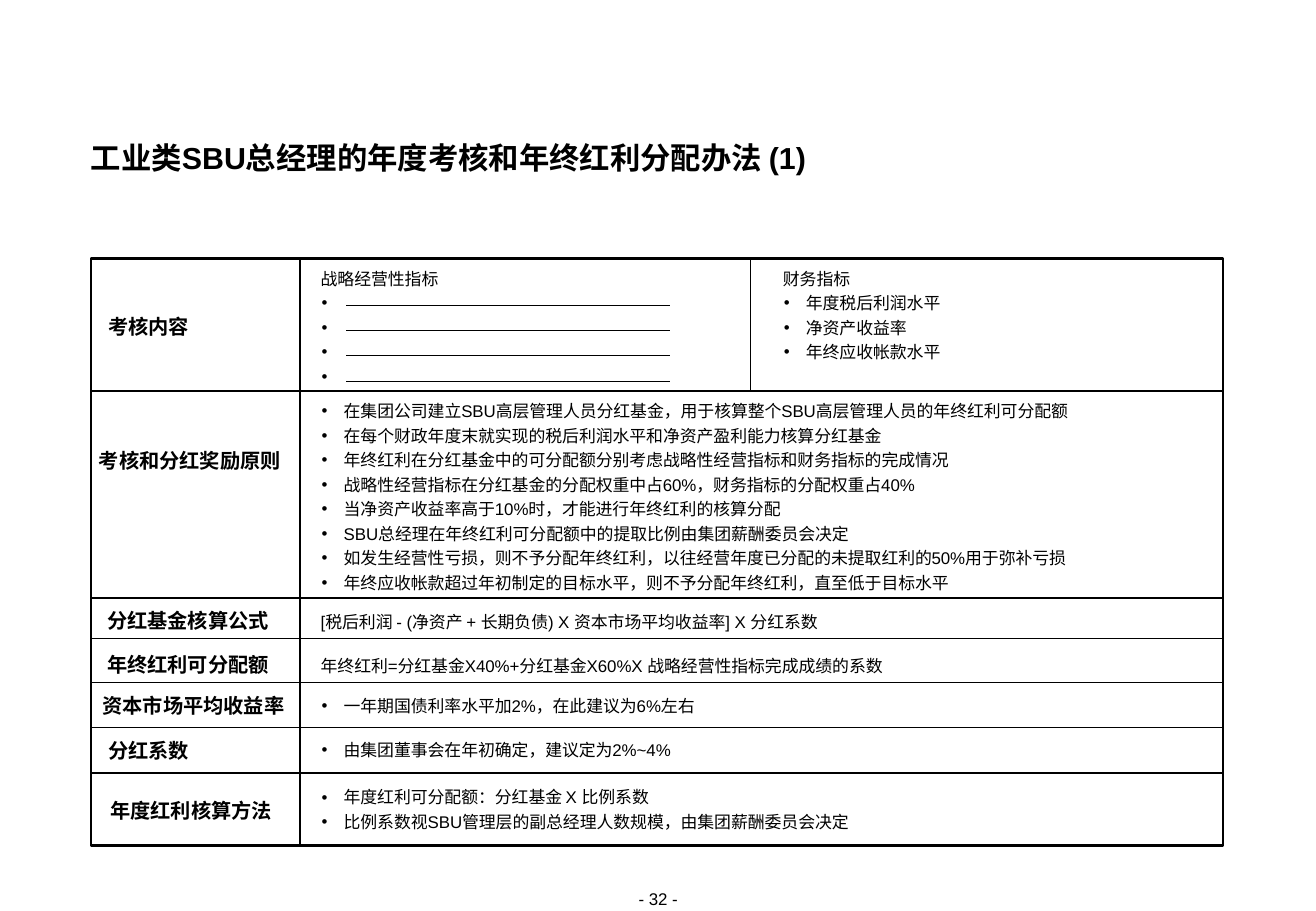
from lxml import etree
from pptx import Presentation
from pptx.dml.color import RGBColor
from pptx.enum.shapes import MSO_CONNECTOR, MSO_SHAPE
from pptx.enum.text import MSO_ANCHOR, MSO_AUTO_SIZE, PP_ALIGN
from pptx.oxml.ns import qn
from pptx.util import Cm, Pt

BLACK = RGBColor(0, 0, 0)
FONT = "Arial"
STRAIGHT = MSO_CONNECTOR.STRAIGHT
RECTANGLE = MSO_SHAPE.RECTANGLE
LEFT, CENTER = PP_ALIGN.LEFT, PP_ALIGN.CENTER
TOP = MSO_ANCHOR.TOP
NO_AUTOFIT = MSO_AUTO_SIZE.NONE

# Grid of the scheme, in cm
GRID_LEFT, GRID_RIGHT = 1.9, 25.59
GRID_TOP, GRID_BOTTOM = 5.41, 17.68
LABEL_DIVIDER, METRIC_DIVIDER = 6.27, 15.7
ROW_LINES = [8.18, 12.5, 13.35, 14.27, 15.21, 16.17]
LABEL_LEFT, TEXT_LEFT, FINANCE_LEFT = 1.98, 6.71, 16.38

# Label, top, width
LABELS = [
    ("考核内容", 6.58, 2.26),
    ("考核和分红奖励原则", 9.37, 3.99),
    ("分红基金核算公式", 12.73, 3.91),
    ("年终红利可分配额", 13.64, 3.91),
    ("资本市场平均收益率", 14.5, 4.14),
    ("分红系数", 15.44, 2.26),
    ("年度红利核算方法", 16.69, 4.04),
]
FINANCE_METRICS = ["年度税后利润水平", "净资产收益率", "年终应收帐款水平"]
BLANK_COUNT = 4
PRINCIPLES = [
    "在集团公司建立SBU高层管理人员分红基金，用于核算整个SBU高层管理人员的年终红利可分配额",
    "在每个财政年度末就实现的税后利润水平和净资产盈利能力核算分红基金",
    "年终红利在分红基金中的可分配额分别考虑战略性经营指标和财务指标的完成情况",
    "战略性经营指标在分红基金的分配权重中占60%，财务指标的分配权重占40%",
    "当净资产收益率高于10%时，才能进行年终红利的核算分配",
    "SBU总经理在年终红利可分配额中的提取比例由集团薪酬委员会决定",
    "如发生经营性亏损，则不予分配年终红利，以往经营年度已分配的未提取红利的50%用于弥补亏损",
    "年终应收帐款超过年初制定的目标水平，则不予分配年终红利，直至低于目标水平",
]
FORMULAS = [
    ("[税后利润 - (净资产 + 长期负债) X 资本市场平均收益率] X 分红系数", 12.67),
    ("年终红利=分红基金X40%+分红基金X60%X 战略经营性指标完成成绩的系数", 13.59),
]
# Items, top
DETAILS = [
    (["一年期国债利率水平加2%，在此建议为6%左右"], 14.55),
    (["由集团董事会在年初确定，建议定为2%~4%"], 15.47),
    (["年度红利可分配额：分红基金 X 比例系数",
      "比例系数视SBU管理层的副总经理人数规模，由集团薪酬委员会决定"], 16.46),
]


class SlideBuilder:
    def __init__(self, slide):
        self.slide = slide
        self.shapes = slide.shapes

    def frame(self, sp, x, y, w, h):
        """Place a text shape and return its margin-free frame."""
        sp.left, sp.top, sp.width, sp.height = Cm(x), Cm(y), Cm(w), Cm(h)
        tf = sp.text_frame
        tf.margin_left = tf.margin_right = tf.margin_top = tf.margin_bottom = 0
        tf.word_wrap = True
        tf.auto_size = NO_AUTOFIT
        tf.vertical_anchor = TOP
        return tf

    def box(self, x, y, w, h):
        return self.frame(self.shapes.add_textbox(0, 0, 0, 0), x, y, w, h)

    def add_text(self, p, text, size=10, bold=False, align=LEFT, spacing=None):
        p.alignment = align
        p.space_before = Pt(0)
        if spacing:
            p.line_spacing = spacing
        r = p.add_run()
        r.text = text
        r.font.name, r.font.size, r.font.bold = FONT, Pt(size), bold
        r.font.color.rgb = BLACK

    def title(self, text):
        tf = self.frame(self.shapes.title, GRID_LEFT, 2.97, 23.7, 0.71)
        self.add_text(tf.paragraphs[0], text, 18, True, spacing=Pt(20))

    def text(self, text, x, y, w, h, **style):
        self.add_text(self.box(x, y, w, h).paragraphs[0], text, **style)

    def bullet(self, p):
        pPr = p._p.get_or_add_pPr()
        pPr.set("marL", str(Cm(0.48)))
        pPr.set("indent", str(Cm(-0.46)))
        color = etree.SubElement(pPr, qn("a:buClr"))
        etree.SubElement(color, qn("a:srgbClr")).set("val", str(BLACK))
        etree.SubElement(pPr, qn("a:buFont")).set("typeface", FONT)
        etree.SubElement(pPr, qn("a:buChar")).set("char", "•")

    def bullets(self, tf, items, heading=None):
        if heading:
            self.add_text(tf.paragraphs[0], heading)
        for i, item in enumerate(items):
            first = i == 0 and not heading
            p = tf.paragraphs[0] if first else tf.add_paragraph()
            self.bullet(p)
            self.add_text(p, item)
            if not first:
                p.space_before = Pt(2.5)

    def line(self, x1, y1, x2, y2, width=1):
        c = self.shapes.add_connector(STRAIGHT, Cm(x1), Cm(y1), Cm(x2), Cm(y2))
        c.line.color.rgb = BLACK
        c.line.width = Pt(width)
        etree.SubElement(c._element.spPr, qn("a:effectLst"))

    def border(self, x, y, w, h):
        sp = self.shapes.add_shape(RECTANGLE, Cm(x), Cm(y), Cm(w), Cm(h))
        sp.shadow.inherit = False
        sp.fill.background()
        sp.line.color.rgb = BLACK
        sp.line.width = Pt(1.5)


def main():
    prs = Presentation()
    prs.slide_width, prs.slide_height = Cm(27.53), Cm(19.05)
    s = SlideBuilder(prs.slides.add_slide(prs.slide_layouts[1]))

    s.title("工业类SBU总经理的年度考核和年终红利分配办法 (1)")

    s.border(GRID_LEFT, GRID_TOP, GRID_RIGHT - GRID_LEFT, GRID_BOTTOM - GRID_TOP)
    s.line(LABEL_DIVIDER, GRID_TOP, LABEL_DIVIDER, GRID_BOTTOM)
    for y in ROW_LINES:
        s.line(GRID_LEFT, y, GRID_RIGHT, y)
    s.line(METRIC_DIVIDER, GRID_TOP, METRIC_DIVIDER, ROW_LINES[0], 0.5)

    for label, y, w in LABELS:
        s.text(label, LABEL_LEFT, y, w, 0.51, size=12, bold=True, align=CENTER)

    s.bullets(s.box(TEXT_LEFT, 5.61, 4.98, 2.46), [" "] * BLANK_COUNT, "战略经营性指标")
    for i in range(BLANK_COUNT):
        y = 6.38 + i * 0.53
        s.line(7.24, y, 14.02, y, 0.5)
    s.bullets(s.box(FINANCE_LEFT, 5.61, 4.98, 1.96), FINANCE_METRICS, "财务指标")

    body = s.slide.placeholders[1]
    s.bullets(s.frame(body, TEXT_LEFT, 8.38, 19.58, 4.01), PRINCIPLES)
    for formula, y in FORMULAS:
        s.text(formula, TEXT_LEFT, y, 18.03, 0.56, spacing=1.3)
    for items, y in DETAILS:
        s.bullets(s.box(TEXT_LEFT, y, 19.18, 0.47 * len(items)), items)

    s.text("- 32 -", 12.32, 18.59, 2.9, 0.43, align=CENTER)
    prs.save("out.pptx")


if __name__ == "__main__":
    main()
